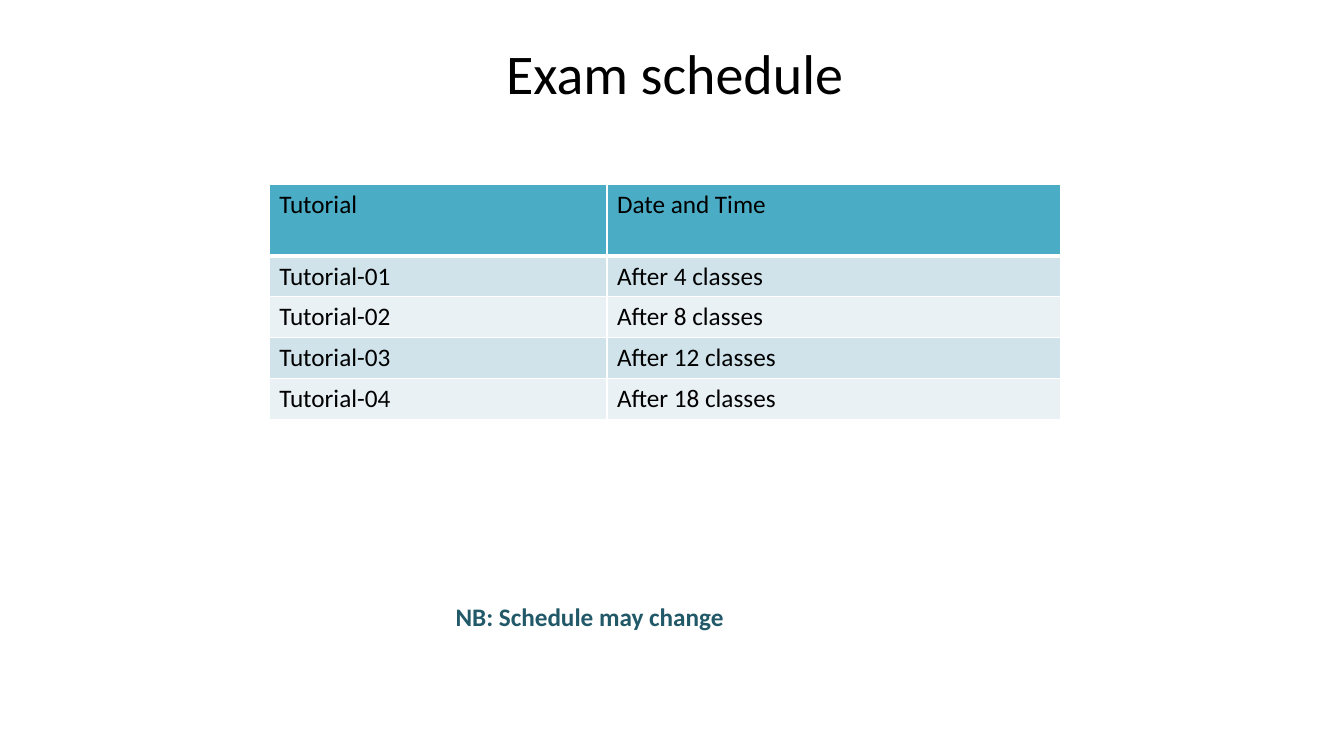
from lxml import etree
from pptx import Presentation
from pptx.dml.color import RGBColor
from pptx.enum import text
from pptx.oxml import ns
from pptx.util import Inches, Pt

BLACK = RGBColor(0x00, 0x00, 0x00)
WHITE = RGBColor(0xFF, 0xFF, 0xFF)
HEADER_TEAL = RGBColor(0x4B, 0xAC, 0xC6)
BANDS = [RGBColor(0xE9, 0xF1, 0xF5), RGBColor(0xD0, 0xE3, 0xEA)]
NOTE_TEAL = RGBColor(0x21, 0x59, 0x68)

SCHEDULE = [
    ("Tutorial", "Date and Time"),
    ("Tutorial-01", "After 4 classes"),
    ("Tutorial-02", "After 8 classes"),
    ("Tutorial-03", "After 12 classes"),
    ("Tutorial-04", "After 18 classes"),
]
COLUMN_WIDTHS = [3.35, 4.5]
HEADER_HEIGHT, ROW_HEIGHT = 0.71, 0.4


def set_font(paragraph, size, color, bold=False):
    paragraph.font.name = "Calibri"
    paragraph.font.size = Pt(size)
    paragraph.font.bold = bold
    paragraph.font.color.rgb = color


def add_border(cell, side, width):
    """Draw one white cell edge; side is L, R, T or B. Call before filling the cell."""
    properties = cell._tc.get_or_add_tcPr()
    line = etree.SubElement(properties, ns.qn(f"a:ln{side}"), w=str(Pt(width)))
    fill = etree.SubElement(line, ns.qn("a:solidFill"))
    etree.SubElement(fill, ns.qn("a:srgbClr"), val=str(WHITE))


presentation = Presentation()
presentation.slide_width = Inches(13.33)
presentation.slide_height = Inches(7.5)
slide = presentation.slides.add_slide(presentation.slide_layouts[5])

title = slide.shapes.title
title.left, title.top = Inches(2.67), Inches(0.33)
title.width, title.height = Inches(8.04), Inches(1.25)
title.text_frame.text = "Exam schedule"
title.text_frame.vertical_anchor = text.MSO_ANCHOR.TOP
title.text_frame.paragraphs[0].alignment = text.PP_ALIGN.CENTER
set_font(title.text_frame.paragraphs[0], 40, BLACK)

table = slide.shapes.add_table(
    len(SCHEDULE), len(COLUMN_WIDTHS), Inches(2.67), Inches(1.83),
    Inches(sum(COLUMN_WIDTHS)), Inches(HEADER_HEIGHT + ROW_HEIGHT * (len(SCHEDULE) - 1)),
).table
for column, width in zip(table.columns, COLUMN_WIDTHS):
    column.width = Inches(width)
for row_index, entries in enumerate(SCHEDULE):
    is_header = row_index == 0
    table.rows[row_index].height = Inches(HEADER_HEIGHT if is_header else ROW_HEIGHT)
    for column_index, entry in enumerate(entries):
        cell = table.cell(row_index, column_index)
        cell.text = entry
        set_font(cell.text_frame.paragraphs[0], 18, BLACK)
        for side in "LRTB":
            add_border(cell, side, 3 if is_header and side == "B" else 1)
        cell.fill.solid()
        cell.fill.fore_color.rgb = HEADER_TEAL if is_header else BANDS[row_index % 2]

note = slide.shapes.add_textbox(Inches(4.42), Inches(5.92), Inches(5.25), Inches(0.4))
note.text_frame.word_wrap = True
note.text_frame.auto_size = text.MSO_AUTO_SIZE.SHAPE_TO_FIT_TEXT
note.text_frame.text = "NB: Schedule may change"
set_font(note.text_frame.paragraphs[0], 18, NOTE_TEAL, bold=True)

presentation.save("out.pptx")
